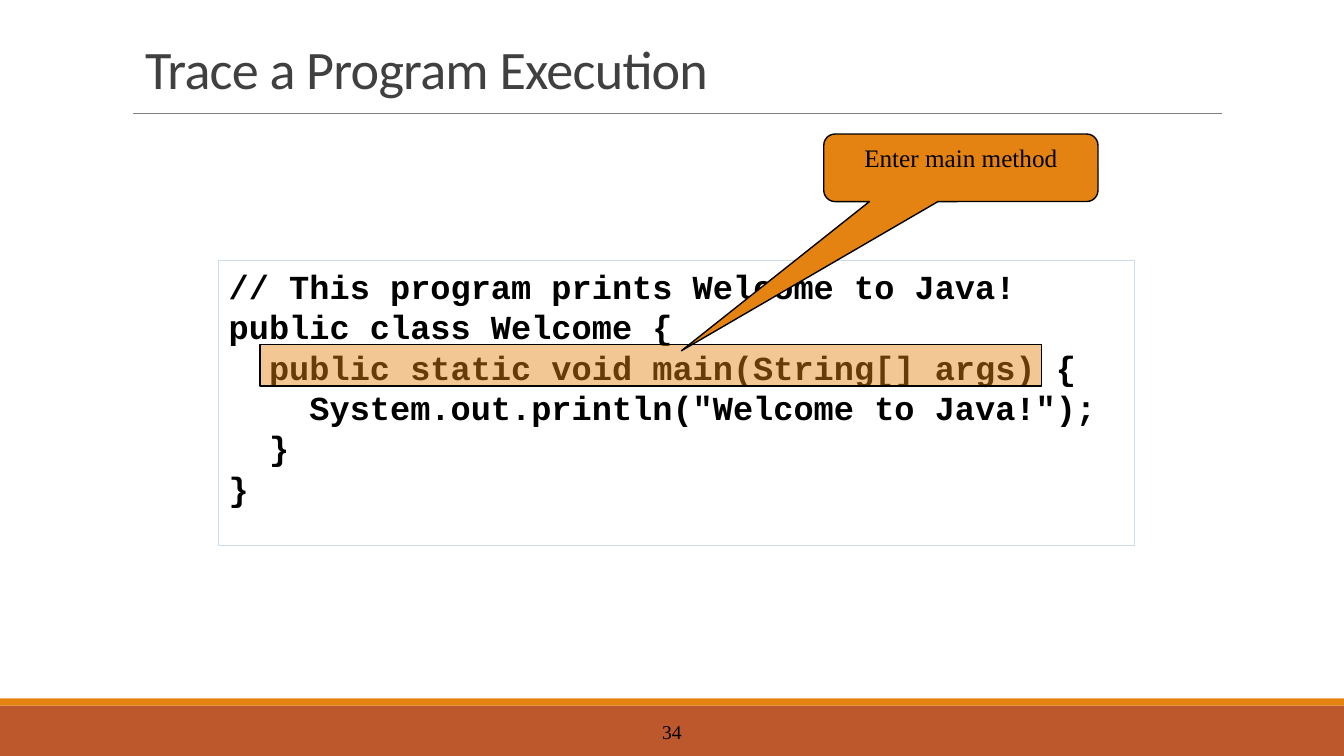
"""Build the slide that traces the entry into a Java main method."""
from dataclasses import dataclass, field

from lxml import etree
from pptx import Presentation
from pptx.dml.color import RGBColor
from pptx.enum.shapes import MSO_CONNECTOR, MSO_SHAPE
from pptx.enum.text import MSO_ANCHOR, MSO_AUTO_SIZE, PP_ALIGN
from pptx.oxml.ns import qn
from pptx.shapes.autoshape import Shape
from pptx.slide import Slide
from pptx.text.text import TextFrame
from pptx.util import Inches, Pt

RECT = MSO_SHAPE.RECTANGLE
CALLOUT = MSO_SHAPE.ROUNDED_RECTANGULAR_CALLOUT
STRAIGHT = MSO_CONNECTOR.STRAIGHT
TOP, MIDDLE, BOTTOM = MSO_ANCHOR.TOP, MSO_ANCHOR.MIDDLE, MSO_ANCHOR.BOTTOM
LEFT, CENTER = PP_ALIGN.LEFT, PP_ALIGN.CENTER
FIXED = MSO_AUTO_SIZE.NONE

COLORS = {"rust": "BD582C", "orange": "E48312", "gray": "808080",
          "pale": "CCDDEA", "black": "000000", "dark": "404040"}

CODE = """// This program prints Welcome to Java!
public class Welcome {
  public static void main(String[] args) {
    System.out.println("Welcome to Java!");
  }
}"""


@dataclass
class Label:
    """Text with its format."""
    text: str
    font: str
    size: float
    color: str = "black"
    bold: bool = False
    align: PP_ALIGN = CENTER
    anchor: MSO_ANCHOR = TOP
    inset: float = 0.05
    lead: float = 1


@dataclass
class Box:
    """Preset shape with its paint and text."""
    at: tuple[float, float, float, float]
    fill: str | None = None
    line: str | None = None
    width: float = 1
    alpha: int = 100
    kind: MSO_SHAPE = RECT
    adjust: list[float] = field(default_factory=list)
    label: Label | None = None


TITLE = Label("Trace a Program Execution", "Calibri", 38.7, "dark",
              align=LEFT, anchor=BOTTOM, lead=0.85)
NUMBER = Label("34", "Times New Roman", 14, anchor=MIDDLE)
LISTING = Label(CODE, "Courier New", 24, bold=True, align=LEFT, inset=0.06)
NOTE = Label("Enter main method", "Times New Roman", 18)

BARS = [Box((0, 7, 13.33, 0.5), "rust"), Box((0, 6.93, 13.33, 0.07), "orange")]
BOXES = [
    Box((4.03, 7.06, 5.27, 0.4), label=NUMBER),
    Box((2.17, 2.58, 9.08, 2.83), line="pale", width=0.75, label=LISTING),
    Box((2.58, 3.42, 7.75, 0.41), "orange", "black", alpha=45),
    Box((8.17, 1.33, 2.72, 0.67), "orange", "black", kind=CALLOUT,
        adjust=[-1.019, 2.709, 0.167], label=NOTE),
]


def paint(name: str) -> RGBColor:
    """Look up a colour by name."""
    return RGBColor.from_string(COLORS[name])


def assign(target: object, values: dict) -> None:
    """Set each named attribute."""
    for name, value in values.items():
        setattr(target, name, value)


def write(frame: TextFrame, label: Label) -> None:
    """Fill a frame with formatted text."""
    assign(frame, {"word_wrap": True, "auto_size": FIXED,
                   "vertical_anchor": label.anchor,
                   "margin_top": Inches(label.inset)})
    for row, text in enumerate(label.text.split("\n")):
        para = frame.add_paragraph() if row else frame.paragraphs[0]
        assign(para, {"alignment": label.align, "line_spacing": label.lead,
                      "space_before": Pt(0)})
        run = para.add_run()
        run.text = text
        assign(run.font, {"name": label.font, "size": Pt(label.size),
                          "bold": label.bold})
        run.font.color.rgb = paint(label.color)


def draw(slide: Slide, box: Box) -> Shape:
    """Add one box to the slide."""
    shape = slide.shapes.add_shape(box.kind, *map(Inches, box.at))
    shape.shadow.inherit = False
    for index, value in enumerate(box.adjust):
        shape.adjustments[index] = value
    if box.fill:
        shape.fill.solid()
        shape.fill.fore_color.rgb = paint(box.fill)
    else:
        shape.fill.background()
    if box.alpha < 100:
        tint = shape.fill._xPr.find(".//" + qn("a:srgbClr"))
        etree.SubElement(tint, qn("a:alpha"), val=str(box.alpha * 1000))
    if box.line:
        shape.line.color.rgb = paint(box.line)
        shape.line.width = Pt(box.width)
    else:
        shape.line.fill.background()
    if box.label:
        write(shape.text_frame, box.label)
    return shape


def rule(slide: Slide) -> None:
    """Draw the thin line under the title."""
    ends = map(Inches, (1.32, 1.12, 12.12, 1.12))
    line = slide.shapes.add_connector(STRAIGHT, *ends)
    line.line.color.rgb = paint("gray")
    line.line.width = Pt(0.5)
    etree.SubElement(line._element.spPr, qn("a:effectLst"))


def head(slide: Slide) -> None:
    """Place and format the title."""
    title = slide.shapes.title
    assign(title, dict(zip(("left", "top", "width", "height"),
                           map(Inches, (1.34, 0.47, 8.5, 0.58)))))
    write(title.text_frame, TITLE)
    run = title.text_frame.paragraphs[0].runs[0]
    run._r.get_or_add_rPr().set("spc", "-50")


def main() -> None:
    """Build and save the slide."""
    deck = Presentation()
    assign(deck, {"slide_width": Inches(13.33), "slide_height": Inches(7.5)})
    slide = deck.slides.add_slide(deck.slide_layouts[5])
    head(slide)
    for bar in BARS:
        draw(slide, bar)
    rule(slide)
    for box in BOXES:
        draw(slide, box)
    deck.save("out.pptx")


if __name__ == "__main__":
    main()
